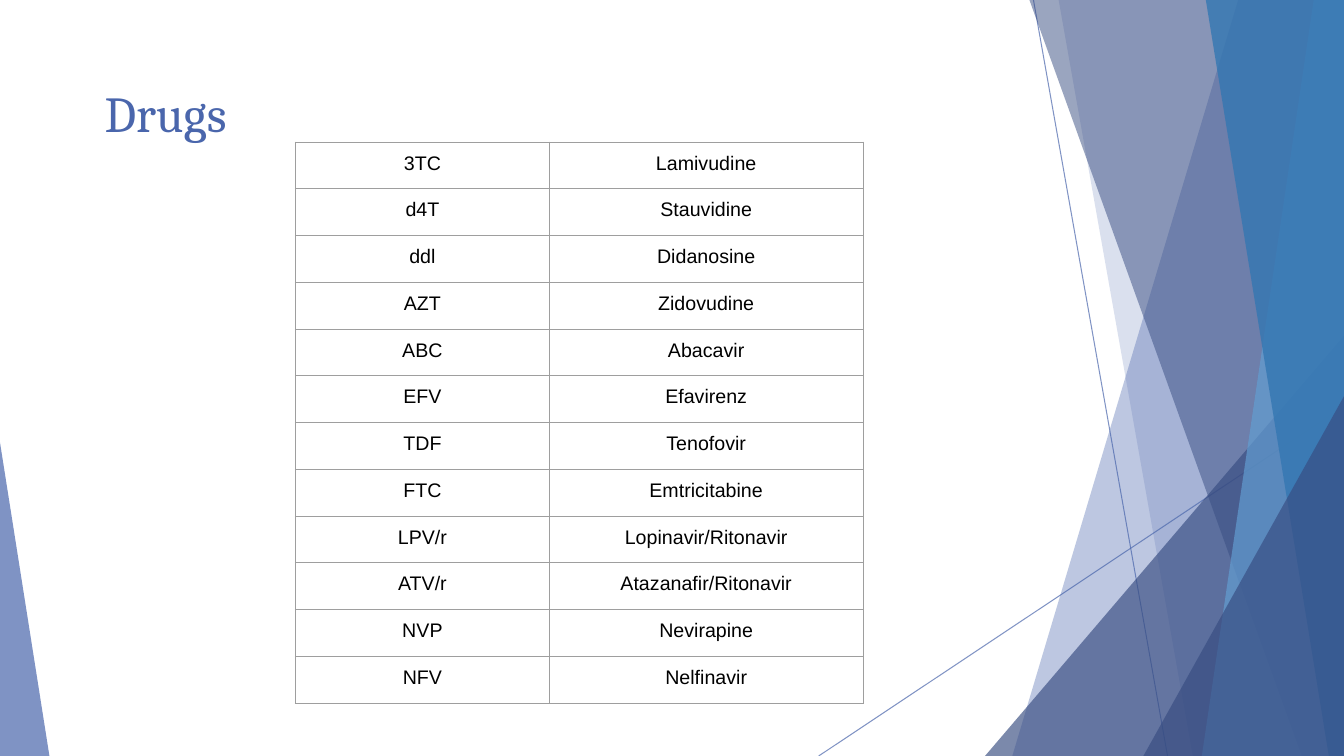
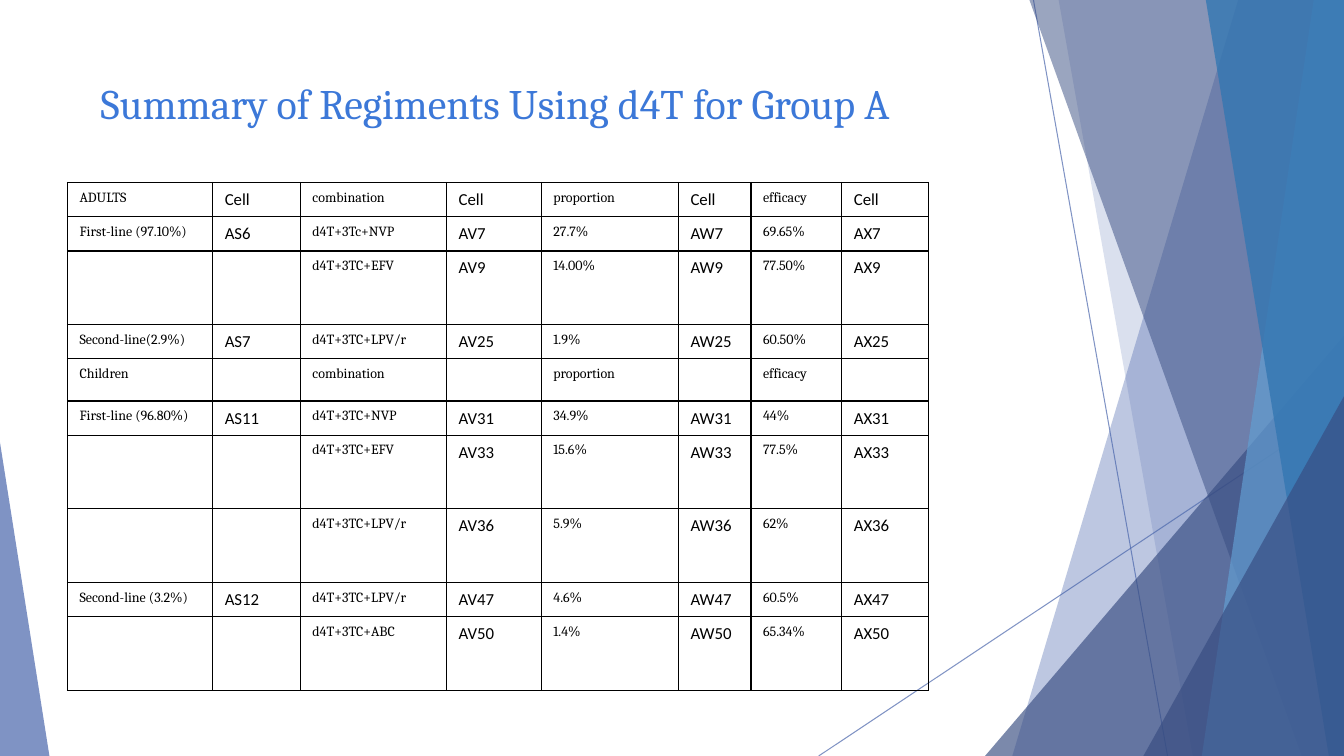
import pptx
import pptx.util
import pptx.dml.color
import pptx.enum.shapes
import pptx.enum.text
import pptx.oxml.ns
import lxml.etree

Inches = pptx.util.Inches
Pt = pptx.util.Pt
SHAPE = pptx.enum.shapes.MSO_SHAPE
ALIGN = pptx.enum.text.PP_ALIGN

WIDE, HIGH = 13.33, 7.5
COLORS = {
    "main": "4A66AC",
    "dark": "374C81",
    "light": "629DD1",
    "deep": "3477B2",
    "title": "3C78D8",
    "grid": "9E9E9E",
    "text": "000000",
}

DRUGS = [
    ("3TC", "Lamivudine"),
    ("d4T", "Stauvidine"),
    ("ddl", "Didanosine"),
    ("AZT", "Zidovudine"),
    ("ABC", "Abacavir"),
    ("EFV", "Efavirenz"),
    ("TDF", "Tenofovir"),
    ("FTC", "Emtricitabine"),
    ("LPV/r", "Lopinavir/Ritonavir"),
    ("ATV/r", "Atazanafir/Ritonavir"),
    ("NVP", "Nevirapine"),
    ("NFV", "Nelfinavir"),
]

PLANS = [
    ("ADULTS", "Cell", "combination", "Cell", "proportion", "Cell", "efficacy", "Cell"),
    ("First-line (97.10%)", "AS6", "d4T+3Tc+NVP", "AV7", "27.7%", "AW7", "69.65%", "AX7"),
    ("", "", "d4T+3TC+EFV", "AV9", "14.00%", "AW9", "77.50%", "AX9"),
    ("Second-line(2.9%)", "AS7", "d4T+3TC+LPV/r", "AV25", "1.9%", "AW25", "60.50%", "AX25"),
    ("Children", "", "combination", "", "proportion", "", "efficacy", ""),
    ("First-line (96.80%)", "AS11", "d4T+3TC+NVP", "AV31", "34.9%", "AW31", "44%", "AX31"),
    ("", "", "d4T+3TC+EFV", "AV33", "15.6%", "AW33", "77.5%", "AX33"),
    ("", "", "d4T+3TC+LPV/r", "AV36", "5.9%", "AW36", "62%", "AX36"),
    ("Second-line (3.2%)", "AS12", "d4T+3TC+LPV/r", "AV47", "4.6%", "AW47", "60.5%", "AX47"),
    ("", "", "d4T+3TC+ABC", "AV50", "1.4%", "AW50", "65.34%", "AX50"),
]


def rgb(name):
    return pptx.dml.color.RGBColor.from_string(COLORS[name])


def add_node(parent, tag, **attrs):
    return lxml.etree.SubElement(parent, pptx.oxml.ns.qn(tag), attrs)


def paint(fill, color, alpha):
    """Fill with a colour that is alpha percent opaque."""
    fill.solid()
    fill.fore_color.rgb = rgb(color)
    node = fill._xPr.find(".//" + pptx.oxml.ns.qn("a:srgbClr"))
    add_node(node, "a:alpha", val=str(alpha * 1000))


def finish(shape, color, alpha):
    shape.shadow.inherit = False
    shape.line.fill.background()
    paint(shape.fill, color, alpha)


def add_ray(slide, start, end):
    ray = slide.shapes.add_connector(
        pptx.enum.shapes.MSO_CONNECTOR.STRAIGHT,
        *(Inches(v) for v in (*start, *end)))
    ray.line.width = Pt(0.75)
    paint(ray.line.fill, "main", 70)
    add_node(ray._element.spPr, "a:effectLst")


def add_band(slide, box, top, base, color, alpha):
    """Fill from a slanted left edge, given by two offsets, to the box's right side."""
    left, head, width, height = box
    right, foot = left + width, head + height
    points = [(left + top, head), (right, head), (right, foot), (left + base, foot)]
    points = [(Inches(x), Inches(y)) for x, y in points]
    form = slide.shapes.build_freeform(*points[0], scale=1.0)
    form.add_line_segments(points[1:], close=True)
    finish(form.convert_to_shape(), color, alpha)


def add_wedge(slide, box, peak, color, alpha):
    wedge = slide.shapes.add_shape(SHAPE.ISOSCELES_TRIANGLE, *(Inches(v) for v in box))
    wedge.adjustments[0] = peak
    finish(wedge, color, alpha)


def add_decor(slide, box):
    """Draw the rays, bands and wedges that both slides share."""
    left, top, width, height = box
    right, foot = left + width, top + height

    def corner(wide, high):
        return right - wide, foot - high, wide, high

    add_ray(slide, (left + 10.25, top), (left + 11.58, foot))
    add_ray(slide, (right, top + 4.03), (left + 8.12, foot))
    add_band(slide, box, 12.28, 10.04, "main", 36)
    add_band(slide, box, 10.5, 11.83, "main", 20)
    add_wedge(slide, corner(3.56, 4.17), 1, "dark", 66)
    add_band(slide, box, 10.21, 12.91, "dark", 50)
    add_band(slide, box, 13.03, 11.92, "light", 70)
    add_band(slide, box, 11.96, 13.18, "deep", 80)
    add_wedge(slide, corner(1.99, 3.57), 1, "dark", 66)
    add_wedge(slide, (left, foot - 3.11, 0.49, 3.11), 0, "main", 70)


def style_text(para, face, size, color):
    para.font.name = face
    para.font.size = Pt(size)
    para.font.color.rgb = rgb(color)


def add_title(slide, box, text, size, color):
    frame = slide.shapes.add_textbox(*(Inches(v) for v in box)).text_frame
    frame.word_wrap = True
    frame.vertical_anchor = pptx.enum.text.MSO_ANCHOR.MIDDLE
    para = frame.paragraphs[0]
    para.text = text
    style_text(para, "Cambria", size, color)


def add_edges(cell, color, width):
    props = cell._tc.get_or_add_tcPr()
    for side in "LRTB":
        edge = add_node(props, "a:ln" + side, w=str(Pt(width)))
        add_node(add_node(edge, "a:solidFill"), "a:srgbClr", val=COLORS[color])


def add_grid(slide, spot, rows, widths, heights, fonts, pads, edge, align):
    """Add a table at spot; fonts repeat across the columns, pads are (side, top)."""
    size = (sum(widths), sum(heights))
    table = slide.shapes.add_table(
        len(rows), len(widths), *(Inches(v) for v in (*spot, *size))).table
    table.first_row = table.horz_banding = False
    for col, width in zip(table.columns, widths):
        col.width = Inches(width)
    for row, height, texts in zip(table.rows, heights, rows):
        row.height = Inches(height)
        for i, (cell, text) in enumerate(zip(row.cells, texts)):
            cell.margin_left = cell.margin_right = Inches(pads[0])
            cell.margin_top = cell.margin_bottom = Inches(pads[1])
            add_edges(cell, *edge)
            cell.fill.background()
            para = cell.text_frame.paragraphs[0]
            para.text = text
            para.alignment = align
            style_text(para, *fonts[i % len(fonts)], "text")


def add_page(deck):
    slide = deck.slides.add_slide(deck.slide_layouts[6])
    add_decor(slide, (0, 0, WIDE, HIGH))
    return slide


def add_drugs(deck):
    slide = add_page(deck)
    add_grid(slide, (2.93, 1.41), DRUGS, [2.52, 3.11],
             [5.57 / len(DRUGS)] * len(DRUGS), [("Arial", 14)],
             (0.1, 0.1), ("grid", 0.75), ALIGN.CENTER)
    add_title(slide, (0.94, 0.69, 9.4, 0.85), "Drugs", 36, "main")


def add_plans(deck):
    slide = add_page(deck)
    add_title(slide, (0.9, 0.4, 11.5, 1.23),
              "Summary of Regiments Using d4T for Group A", 30, "title")
    low, mid, tall = 0.34, 0.42, 0.73
    add_grid(slide, (0.67, 1.81), PLANS,
             [1.44, 0.87, 1.45, 0.94, 1.36, 0.72, 0.9, 0.86],
             [low, low, tall, low, mid, low, tall, tall, low, tall],
             [("Cambria", 10), ("Calibri", 12)],
             (0.12, 0.07), ("text", 1), ALIGN.LEFT)


def main():
    deck = pptx.Presentation()
    deck.slide_width, deck.slide_height = Inches(WIDE), Inches(HIGH)
    add_drugs(deck)
    add_plans(deck)
    deck.save("out.pptx")


if __name__ == "__main__":
    main()
